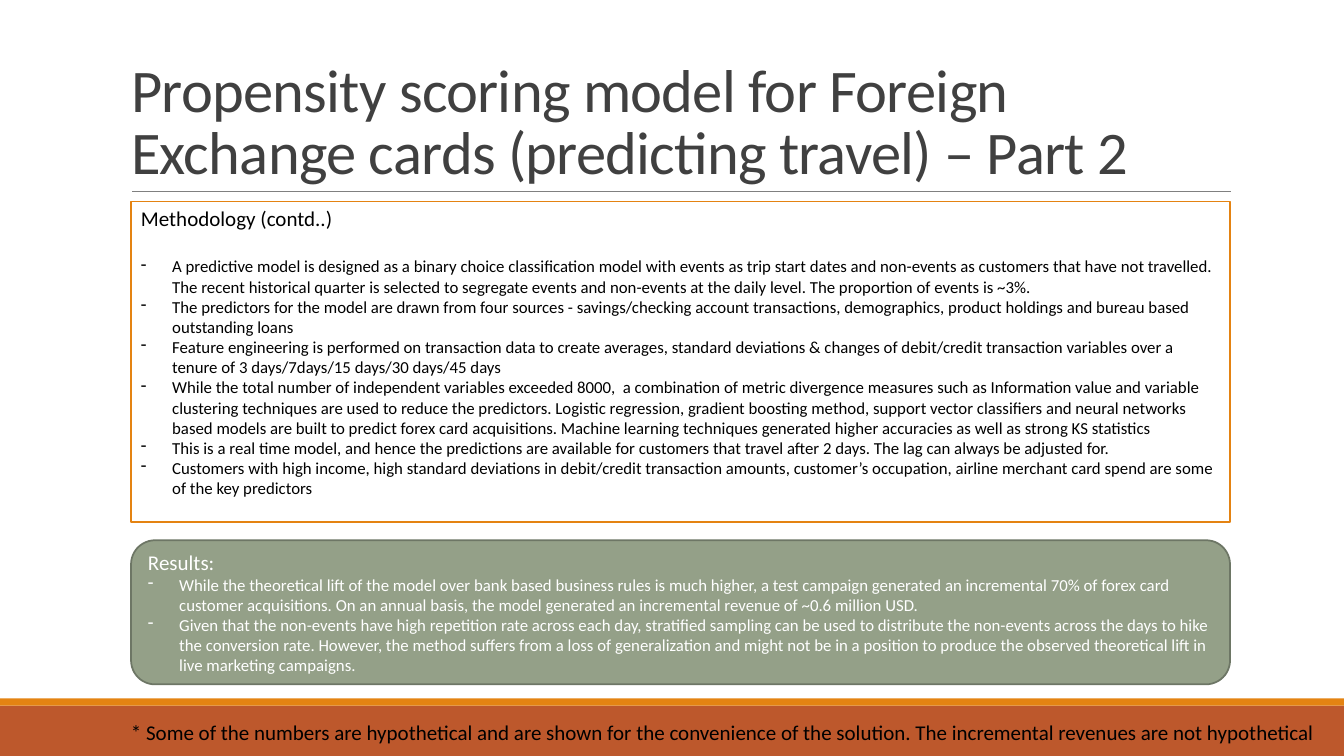
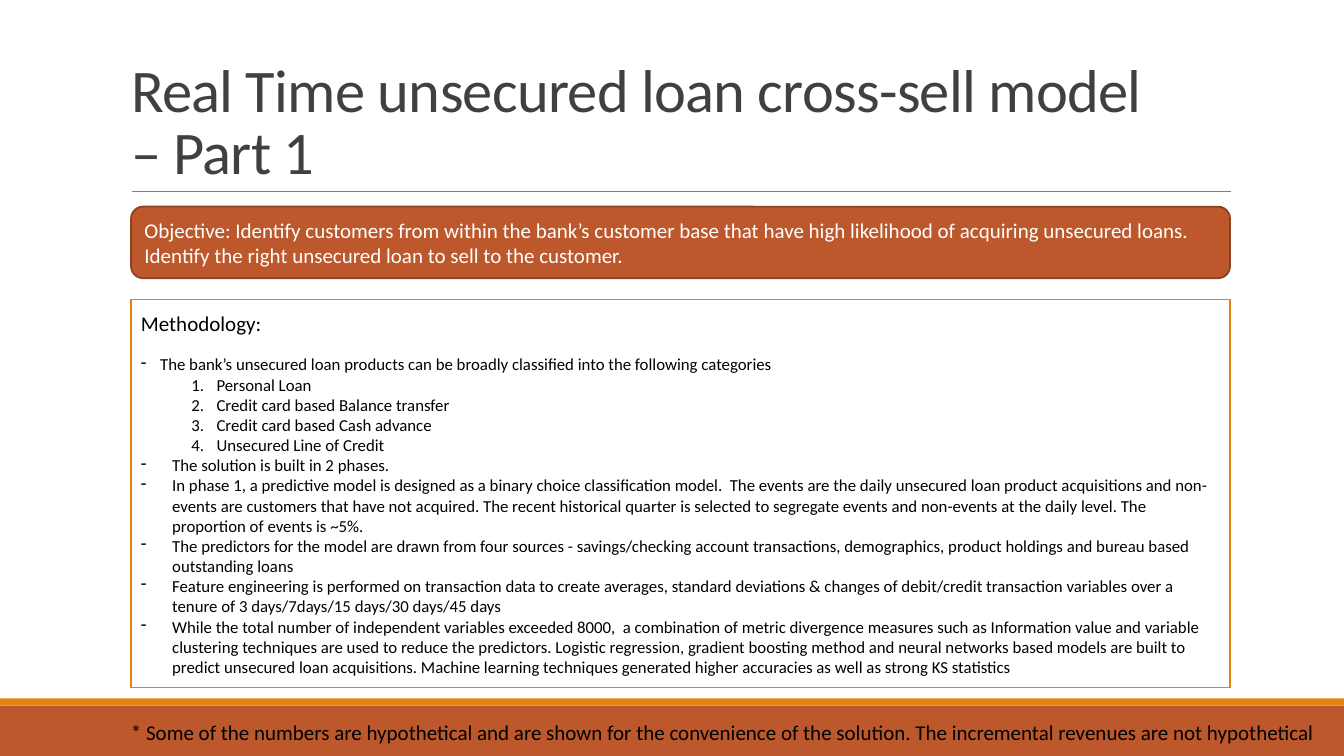
from lxml.etree import SubElement
from pptx import Presentation
from pptx.dml.color import RGBColor
from pptx.enum.shapes import MSO_CONNECTOR as Connector, MSO_SHAPE as Shape
from pptx.enum.text import MSO_ANCHOR as Anchor, MSO_AUTO_SIZE as AutoSize, PP_ALIGN as Align
from pptx.oxml.ns import qn
from pptx.util import Inches, Pt

# Shared style
FONT = "Calibri"
RUST, ORANGE, SAGE = "BD582C", "E48312", "94A088"
RUST_EDGE, SAGE_EDGE = "8C4121", "6D7665"
WHITE, BLACK, TITLE_GRAY, RULE_GRAY = "FFFFFF", "000000", "404040", "808080"
BOX_LEFT, BOX_WIDTH = 1.3, 10.9
HEADING_SIZE, BODY_SIZE = 15, 12
FOOTNOTE = ("* Some of the numbers are hypothetical and are shown for the convenience of the solution. "
            "The incremental revenues are not hypothetical")

# Paragraph formats: left margin (the first line hangs by "hang"), bullet and level
PLAIN = {}
DASH = {"margin": 0.31, "hang": 0.31, "bullet": "-"}
NARROW_DASH = {"margin": 0.19, "hang": 0.19, "bullet": "-"}
NUMBER = {"margin": 0.75, "hang": 0.25, "bullet": "1.", "level": 1}

# Wording used on both slides
PREDICTORS = ("The predictors for the model are drawn from four sources - savings/checking account "
              "transactions, demographics, product holdings and bureau based outstanding loans")
FEATURES = ("Feature engineering is performed on transaction data to create averages, standard "
            "deviations & changes of debit/credit transaction variables over a tenure of "
            "3 days/7days/15 days/30 days/45 days")
REDUCTION = ("While the total number of independent variables exceeded 8000,  a combination of metric "
             "divergence measures such as Information value and variable clustering techniques are used "
             "to reduce the predictors. Logistic regression, gradient boosting method{models} and neural "
             "networks based models are built to predict {target} acquisitions. Machine learning "
             "techniques generated higher accuracies as well as strong KS statistics")


def rgb(color):
    return RGBColor.from_string(color)


def set_values(target, values):
    for name, value in values.items():
        setattr(target, name, value)


class Deck:
    """Holds the presentation, its style and the current slide."""

    def __init__(self):
        self.presentation = Presentation()
        set_values(self.presentation, {"slide_width": Inches(13.33), "slide_height": Inches(7.5)})
        self.slide = None

    def new_slide(self, title):
        layout = self.presentation.slide_layouts[5]
        self.slide = self.presentation.slides.add_slide(layout)
        self.shape(Shape.RECTANGLE, 0, 7, 13.33, 0.5, RUST)
        self.shape(Shape.RECTANGLE, 0, 6.93, 13.33, 0.07, ORANGE)
        self.rule(1.31, 12.21, 1.9)
        self.title(title)
        self.footnote()

    def title(self, text):
        shape = self.slide.shapes.title
        set_values(shape, {"left": Inches(1.2), "top": Inches(0.31),
                           "width": Inches(11), "height": Inches(1.59)})
        set_values(shape.text_frame, {"auto_size": AutoSize.NONE, "word_wrap": True,
                                      "vertical_anchor": Anchor.BOTTOM})
        paragraph = shape.text_frame.paragraphs[0]
        self.fill_paragraph(paragraph, text, 43.2, TITLE_GRAY)
        paragraph.line_spacing = 0.85
        for run in paragraph.runs:
            run.font._element.set("spc", "-50")

    def footnote(self):
        box = self.slide.shapes.add_textbox(Inches(1.2), Inches(7.09), Inches(12.06), Inches(0.35))
        set_values(box.text_frame, {"word_wrap": False, "auto_size": AutoSize.SHAPE_TO_FIT_TEXT})
        self.fill_paragraph(box.text_frame.paragraphs[0], FOOTNOTE, HEADING_SIZE, BLACK)

    def rule(self, left, right, top):
        line = self.slide.shapes.add_connector(
            Connector.STRAIGHT, Inches(left), Inches(top), Inches(right), Inches(top))
        line.line.color.rgb = rgb(RULE_GRAY)
        line.line.width = Pt(0.5)
        SubElement(line._element.spPr, qn("a:effectLst"))

    def shape(self, kind, left, top, width, height, fill, edge=None):
        shape = self.slide.shapes.add_shape(
            kind, Inches(left), Inches(top), Inches(width), Inches(height))
        shape.shadow.inherit = False
        shape.fill.solid()
        shape.fill.fore_color.rgb = rgb(fill)
        if edge:
            shape.line.color.rgb = rgb(edge)
            shape.line.width = Pt(1.25)
        else:
            shape.line.fill.background()
        return shape

    def text_box(self, kind, top, height, colors, heading, items=(), gap=0, bottom=0.05):
        """Framed box: a heading, a gap in points, then (format, text) items."""
        fill, edge, text_color = colors
        shape = self.shape(kind, BOX_LEFT, top, BOX_WIDTH, height, fill, edge)
        frame = shape.text_frame
        set_values(frame, {"word_wrap": True, "vertical_anchor": Anchor.MIDDLE,
                           "margin_bottom": Inches(bottom)})
        self.fill_paragraph(frame.paragraphs[0], heading, HEADING_SIZE, text_color)
        frame.paragraphs[0].space_after = Pt(gap)
        for style, text in items:
            self.fill_paragraph(frame.add_paragraph(), text, BODY_SIZE, text_color, style)

    def fill_paragraph(self, paragraph, text, size, color, style=PLAIN):
        paragraph.text = text
        set_values(paragraph, {"alignment": Align.LEFT, "level": style.get("level", 0)})
        for run in paragraph.runs:
            set_values(run.font, {"name": FONT, "size": Pt(size)})
            run.font.color.rgb = rgb(color)
        if style:
            self.bullet(paragraph, style)

    def bullet(self, paragraph, style):
        properties = paragraph._p.get_or_add_pPr()
        properties.set("marL", str(Inches(style["margin"])))
        properties.set("indent", str(-Inches(style["hang"])))
        if style["bullet"] == "1.":
            SubElement(properties, qn("a:buAutoNum"), type="arabicPeriod")
        else:
            SubElement(properties, qn("a:buChar"), char=style["bullet"])


# Fill, edge and text colours of the framed boxes
METHOD_COLORS = (WHITE, ORANGE, BLACK)
RESULT_COLORS = (SAGE, SAGE_EDGE, WHITE)
OBJECTIVE_COLORS = (RUST, RUST_EDGE, WHITE)


def travel_slide(deck):
    deck.new_slide("Propensity scoring model for Foreign Exchange cards (predicting travel) – Part 2")
    deck.text_box(Shape.RECTANGLE, 2, 3.18, METHOD_COLORS, "Methodology (contd..)", [
        (DASH, "A predictive model is designed as a binary choice classification model with events as "
               "trip start dates and non-events as customers that have not travelled. The recent "
               "historical quarter is selected to segregate events and non-events at the daily level. "
               "The proportion of events is ~3%."),
        (DASH, PREDICTORS),
        (DASH, FEATURES),
        (DASH, REDUCTION.format(models=", support vector classifiers", target="forex card")),
        (DASH, "This is a real time model, and hence the predictions are available for customers that "
               "travel after 2 days. The lag can always be adjusted for."),
        (DASH, "Customers with high income, high standard deviations in debit/credit transaction "
               "amounts, customer’s occupation, airline merchant card spend are some of the key "
               "predictors"),
    ], gap=18.3, bottom=0.25)
    deck.text_box(Shape.ROUNDED_RECTANGLE, 5.36, 1.43, RESULT_COLORS, "Results:", [
        (DASH, "While the theoretical lift of the model over bank based business rules is much higher, "
               "a test campaign generated an incremental 70% of forex card customer acquisitions. On an "
               "annual basis, the model generated an incremental revenue of ~0.6 million USD."),
        (DASH, "Given that the non-events have high repetition rate across each day, stratified sampling "
               "can be used to distribute the non-events across the days to hike the conversion rate. "
               "However, the method suffers from a loss of generalization and might not be in a position "
               "to produce the observed theoretical lift in live marketing campaigns."),
    ])


def loan_slide(deck):
    deck.new_slide("Real Time unsecured loan cross-sell model\n– Part 1")
    deck.text_box(Shape.ROUNDED_RECTANGLE, 2.05, 0.71, OBJECTIVE_COLORS,
                  "Objective: Identify customers from within the bank’s customer base that have high "
                  "likelihood of acquiring unsecured loans. Identify the right unsecured loan to sell "
                  "to the customer.")
    products = ["Personal Loan", "Credit card based Balance transfer",
                "Credit card based Cash advance", "Unsecured Line of Credit"]
    deck.text_box(Shape.RECTANGLE, 2.97, 3.85, METHOD_COLORS, "Methodology:", [
        (NARROW_DASH, "The bank’s unsecured loan products can be broadly classified into the following "
                      "categories"),
        *[(NUMBER, product) for product in products],
        (DASH, "The solution is built in 2 phases."),
        (DASH, "In phase 1, a predictive model is designed as a binary choice classification model.  The "
               "events are the daily unsecured loan product acquisitions and non-events are customers "
               "that have not acquired. The recent historical quarter is selected to segregate events "
               "and non-events at the daily level. The proportion of events is ~5%."),
        (DASH, PREDICTORS),
        (DASH, FEATURES),
        (DASH, REDUCTION.format(models="", target="unsecured loan")),
    ], gap=13.4)


def main():
    deck = Deck()
    travel_slide(deck)
    loan_slide(deck)
    deck.presentation.save("out.pptx")


if __name__ == "__main__":
    main()
